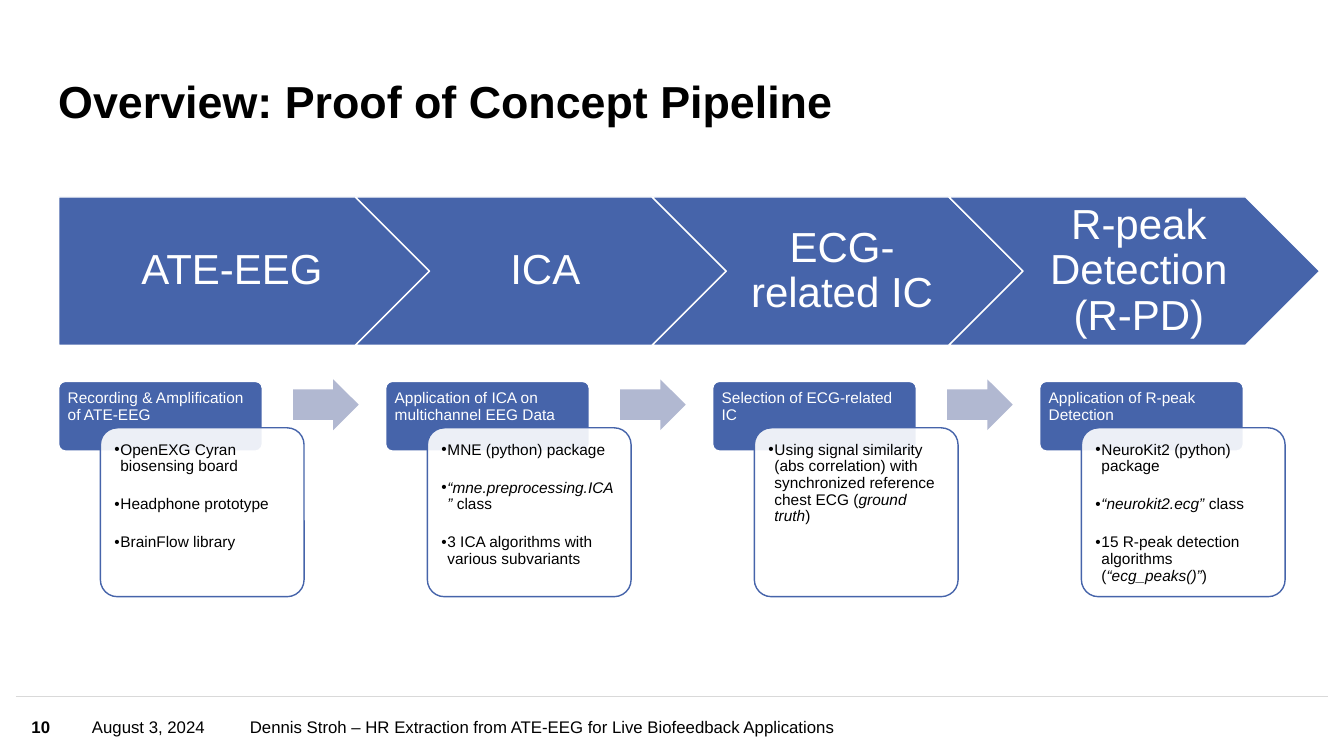
"""Build the proof of concept pipeline slide."""
from dataclasses import dataclass

from lxml.etree import SubElement
from pptx import Presentation
from pptx.dml.color import RGBColor
from pptx.enum.shapes import MSO_CONNECTOR, MSO_SHAPE
from pptx.enum.text import MSO_ANCHOR, MSO_AUTO_SIZE, PP_ALIGN
from pptx.oxml.ns import qn
from pptx.shapes.autoshape import Shape
from pptx.slide import Slide
from pptx.text.text import Font, TextFrame
from pptx.util import Emu, Inches, Pt

SLIDE_WIDTH, SLIDE_HEIGHT = Inches(13.333), Inches(7.5)
COLUMNS, ROWS = 160, 90


@dataclass(frozen=True)
class Theme:
    font: str = "Arial"
    blue: RGBColor = RGBColor(0x46, 0x64, 0xAA)
    pale_blue: RGBColor = RGBColor(0xB1, 0xB8, 0xD1)
    white: RGBColor = RGBColor(0xFF, 0xFF, 0xFF)
    black: RGBColor = RGBColor(0, 0, 0)
    rule: RGBColor = RGBColor(0xD9, 0xD9, 0xD9)
    title_size: int = 32
    stage_size: int = 30
    step_size: int = 11
    footer_size: int = 12
    line_width: int = 1
    line_spacing: float = 0.9
    point_gap: float = 15.3
    card_opacity: int = 90


@dataclass(frozen=True)
class Box:
    column: float
    row: float
    columns: float
    rows: float

    def shifted(self, columns: float) -> "Box":
        return Box(self.column + columns, self.row, self.columns, self.rows)

    def lengths(self) -> tuple[Emu, Emu, Emu, Emu]:
        return across(self.column), down(self.row), across(self.columns), down(self.rows)


@dataclass(frozen=True)
class Phrase:
    text: str
    italic: bool = False


@dataclass(frozen=True)
class Step:
    stage: str
    task: str
    points: list[list[Phrase]]


@dataclass(frozen=True)
class FooterItem:
    text: str
    box: Box
    bold: bool = False


THEME = Theme()
TITLE_BOX = Box(6.93, 5.2, 120.2, 10.1)
STAGE_BOX, STAGE_PITCH = Box(6.98, 23.45, 44.15, 17.65), 35.33
TASK_BOX = Box(6.98, 45.4, 24.25, 8.3)
CARD_BOX = Box(11.95, 50.93, 24.25, 20.1)
ARROW_BOX = Box(34.9, 45.15, 7.8, 6.05)
STEP_PITCH = 38.93
RULE_START, RULE_END, RULE_ROW = 1.9, 158.1, 82.9

STEPS = [
    Step("ATE-EEG", "Recording & Amplification of ATE-EEG", [
        [Phrase("OpenEXG Cyran biosensing board")],
        [Phrase("Headphone prototype")],
        [Phrase("BrainFlow library")],
    ]),
    Step("ICA", "Application of ICA on multichannel EEG Data", [
        [Phrase("MNE (python) package")],
        [Phrase("“mne.preprocessing.ICA” ", True), Phrase("class")],
        [Phrase("3 ICA algorithms with various subvariants")],
    ]),
    Step("ECG-related IC", "Selection of ECG-related IC", [
        [Phrase("Using signal similarity (abs correlation) with synchronized reference chest ECG ("),
         Phrase("ground truth", True), Phrase(")")],
    ]),
    Step("R-peak Detection (R-PD)", "Application of R-peak Detection", [
        [Phrase("NeuroKit2 (python) package")],
        [Phrase("“neurokit2.ecg” ", True), Phrase("class")],
        [Phrase("15 R-peak detection algorithms ("), Phrase("“ecg_peaks()”", True), Phrase(")")],
    ]),
]
FOOTER = [
    FooterItem("10", Box(3.75, 83, 5.8, 7), bold=True),
    FooterItem("August 3, 2024", Box(10.95, 83, 18, 7)),
    FooterItem("Dennis Stroh – HR Extraction from ATE-EEG for Live Biofeedback Applications",
               Box(29.75, 83, 70, 7)),
]


def across(columns: float) -> Emu:
    return Emu(round(SLIDE_WIDTH * columns / COLUMNS))


def down(rows: float) -> Emu:
    return Emu(round(SLIDE_HEIGHT * rows / ROWS))


def set_frame(frame: TextFrame, anchor: MSO_ANCHOR, insets: tuple[float, ...] = (0, 0, 0, 0)) -> None:
    frame.word_wrap = True
    frame.auto_size = MSO_AUTO_SIZE.NONE
    frame.vertical_anchor = anchor
    frame.margin_left, frame.margin_top, frame.margin_right, frame.margin_bottom = map(Inches, insets)


def set_font(font: Font, size: int, color: RGBColor, bold: bool = False) -> None:
    font.name, font.size, font.bold = THEME.font, Pt(size), bold
    font.color.rgb = color


def write(frame: TextFrame, text: str, size: int, color: RGBColor, align: PP_ALIGN = PP_ALIGN.LEFT,
          bold: bool = False, spacing: float = THEME.line_spacing) -> None:
    paragraph = frame.paragraphs[0]
    paragraph.alignment = align
    paragraph.line_spacing = spacing
    set_font(paragraph.font, size, color, bold)
    paragraph.add_run().text = text


def write_points(frame: TextFrame, points: list[list[Phrase]]) -> None:
    for index, phrases in enumerate(points):
        paragraph = frame.add_paragraph() if index else frame.paragraphs[0]
        paragraph.alignment = PP_ALIGN.LEFT
        paragraph.line_spacing = THEME.line_spacing
        paragraph.space_after = Pt(THEME.point_gap)
        properties = paragraph._p.get_or_add_pPr()
        properties.set("marL", str(Inches(0.06)))
        properties.set("indent", str(-Inches(0.06)))
        SubElement(properties, qn("a:buFont"), typeface=THEME.font)
        SubElement(properties, qn("a:buChar"), char="•")
        for phrase in phrases:
            run = paragraph.add_run()
            run.text = phrase.text
            set_font(run.font, THEME.step_size, THEME.black)
            run.font.italic = phrase.italic


def add_block(slide: Slide, kind: MSO_SHAPE, box: Box, fill: RGBColor,
              line: RGBColor | None = None) -> Shape:
    block = slide.shapes.add_shape(kind, *box.lengths())
    block.shadow.inherit = False
    block.fill.solid()
    block.fill.fore_color.rgb = fill
    if line is None:
        block.line.fill.background()
    else:
        block.line.color.rgb = line
        block.line.width = Pt(THEME.line_width)
    return block


def add_stage(slide: Slide, step: Step, index: int) -> None:
    kind = MSO_SHAPE.CHEVRON if index else MSO_SHAPE.PENTAGON
    stage = add_block(slide, kind, STAGE_BOX.shifted(index * STAGE_PITCH), THEME.blue, THEME.white)
    set_frame(stage.text_frame, MSO_ANCHOR.MIDDLE, (0.13 if index else 0.17, 0.09, 0.04, 0.09))
    write(stage.text_frame, step.stage, THEME.stage_size, THEME.white, PP_ALIGN.CENTER)


def add_step(slide: Slide, step: Step, index: int) -> None:
    offset = index * STEP_PITCH
    task = add_block(slide, MSO_SHAPE.ROUNDED_RECTANGLE, TASK_BOX.shifted(offset), THEME.blue, THEME.white)
    task.adjustments[0] = 0.1
    set_frame(task.text_frame, MSO_ANCHOR.TOP, (0.07, 0.07, 0.07, 0.05))
    write(task.text_frame, step.task, THEME.step_size, THEME.white)

    card = add_block(slide, MSO_SHAPE.ROUNDED_RECTANGLE, CARD_BOX.shifted(offset), THEME.white, THEME.blue)
    card.adjustments[0] = 0.1
    fill_color = card._element.spPr.find(qn("a:solidFill"))[0]
    SubElement(fill_color, qn("a:alpha"), val=str(THEME.card_opacity * 1000))
    set_frame(card.text_frame, MSO_ANCHOR.TOP, (0.09, 0.09, 0.09, 0.09))
    write_points(card.text_frame, step.points)

    if index < len(STEPS) - 1:
        arrow = add_block(slide, MSO_SHAPE.RIGHT_ARROW, ARROW_BOX.shifted(offset), THEME.pale_blue)
        arrow.adjustments[0] = 0.6


def add_footer(slide: Slide) -> None:
    rule = slide.shapes.add_connector(MSO_CONNECTOR.STRAIGHT, across(RULE_START), down(RULE_ROW),
                                      across(RULE_END), down(RULE_ROW))
    rule.line.color.rgb = THEME.rule
    rule.line.width = Pt(THEME.line_width)
    SubElement(rule._element.spPr, qn("a:effectLst"))
    for item in FOOTER:
        frame = slide.shapes.add_textbox(*item.box.lengths()).text_frame
        set_frame(frame, MSO_ANCHOR.MIDDLE)
        write(frame, item.text, THEME.footer_size, THEME.black, bold=item.bold, spacing=1.0)


def main() -> None:
    deck = Presentation()
    deck.slide_width, deck.slide_height = SLIDE_WIDTH, SLIDE_HEIGHT
    slide = deck.slides.add_slide(deck.slide_layouts[5])
    title = slide.shapes.title
    title.left, title.top, title.width, title.height = TITLE_BOX.lengths()
    set_frame(title.text_frame, MSO_ANCHOR.BOTTOM)
    write(title.text_frame, "Overview: Proof of Concept Pipeline", THEME.title_size, THEME.black, bold=True)
    add_footer(slide)
    for index, step in enumerate(STEPS):
        add_step(slide, step, index)
        add_stage(slide, step, index)
    deck.save("out.pptx")


if __name__ == "__main__":
    main()
